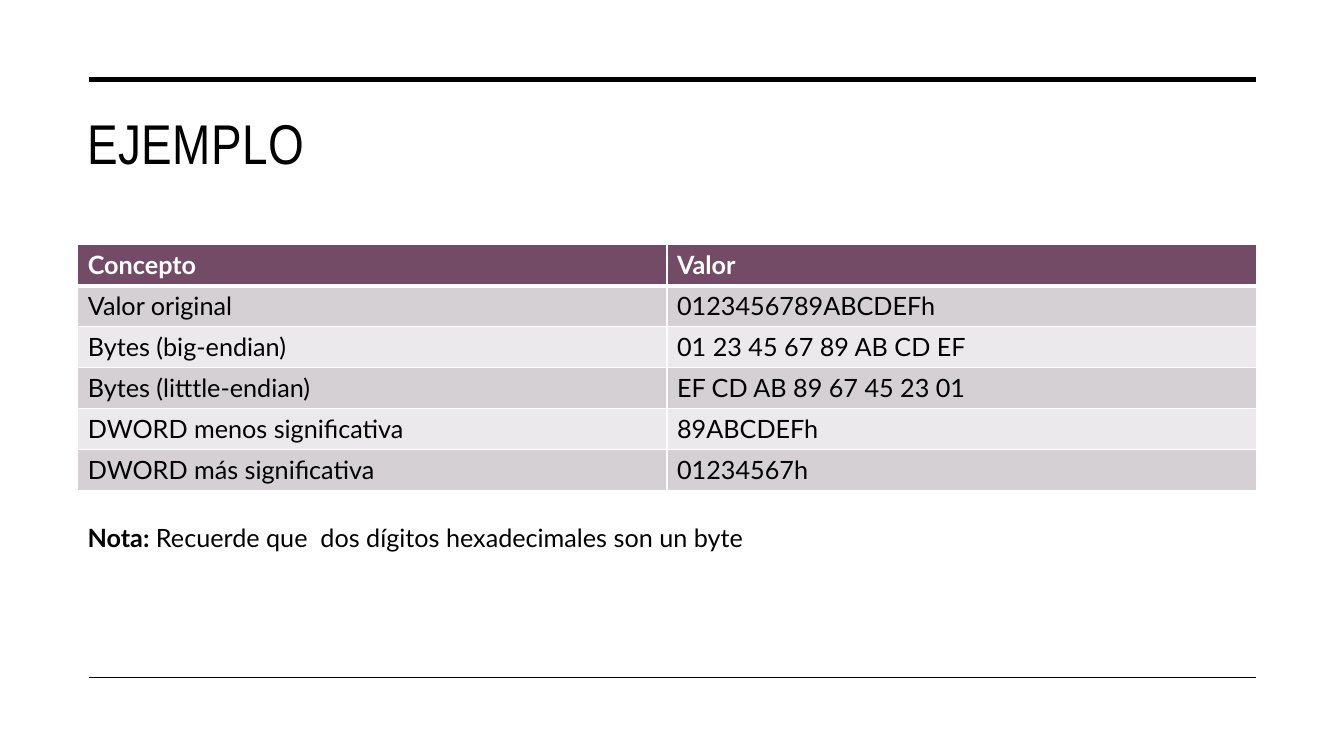
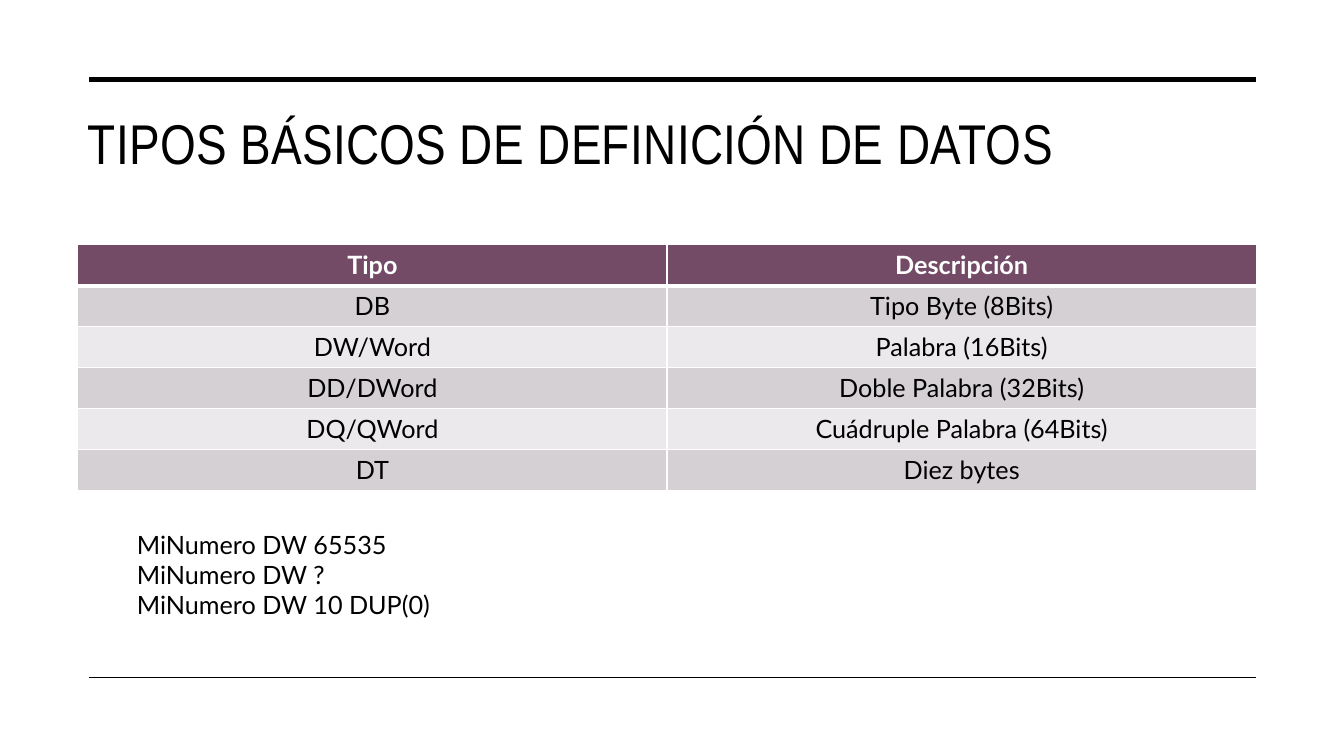
from dataclasses import dataclass

from lxml import etree
from pptx import Presentation
from pptx.dml.color import RGBColor
from pptx.enum import shapes, text
from pptx.oxml import ns
from pptx.util import Cm, Pt


@dataclass(frozen=True)
class Theme:
    ink: str = "000000"
    paper: str = "FFFFFF"
    header: str = "734B67"
    bands: tuple = ("D5D0D3", "EBE9EB")
    title_font: str = "Arial Narrow"
    body_font: str = "Lato"
    title_size: float = 40
    body_size: float = 18
    title_tracking: str = "30"  # hundredths of a point
    top_rule: float = 3.5
    bottom_rule: float = 1
    grid: float = 1
    header_edge: float = 3


THEME = Theme()

# Regions as left, top, width, height in centimetres
FRAME = (2.24, 2.01, 29.41, 15.06)
TITLE = (1.96, 2.62, 29.7, 3.55)
TABLE = (1.96, 6.17, 29.7, 6.18)
NOTE = (1.96, 13.03, 29.7, 1.02)
CODE = (3.2, 13.21, 17.78, 3.33)


def add_run(paragraph, words, color=THEME.ink, bold=False,
            name=THEME.body_font, size=THEME.body_size):
    run = paragraph.add_run()
    run.text = words
    for attribute, value in {"name": name, "size": Pt(size), "bold": bold}.items():
        setattr(run.font, attribute, value)
    run.font.color.rgb = RGBColor.from_string(color)
    return run


def add_rules(slide, box):
    """Heavy rule on the top edge of the box, thin rule on the bottom edge."""
    left, top, width, height = box
    for y, weight in ((top, THEME.top_rule), (top + height, THEME.bottom_rule)):
        rule = slide.shapes.add_connector(
            shapes.MSO_CONNECTOR.STRAIGHT, Cm(left), Cm(y), Cm(left + width), Cm(y))
        rule.line.width = Pt(weight)
        rule.line.color.rgb = RGBColor.from_string(THEME.ink)
        etree.SubElement(rule.line._get_or_add_ln().getparent(), ns.qn("a:effectLst"))


def add_text_frame(slide, box):
    frame = slide.shapes.add_textbox(*map(Cm, box)).text_frame
    frame.word_wrap = True
    frame.vertical_anchor = text.MSO_ANCHOR.TOP
    return frame


def add_title(slide, box, words):
    heading = add_run(add_text_frame(slide, box).paragraphs[0], words,
                      name=THEME.title_font, size=THEME.title_size)
    heading._r.get_or_add_rPr().set("spc", THEME.title_tracking)


def add_lines(slide, box, lines):
    """Each line is a list of (words, bold) pieces."""
    frame = add_text_frame(slide, box)
    for index, pieces in enumerate(lines):
        paragraph = frame.add_paragraph() if index else frame.paragraphs[0]
        for words, bold in pieces:
            add_run(paragraph, words, bold=bold)


def set_borders(cell, weights):
    properties = cell._tc.get_or_add_tcPr()
    for side, weight in weights.items():
        edge = etree.SubElement(properties, ns.qn(f"a:ln{side}"), w=str(Pt(weight)))
        fill = etree.SubElement(edge, ns.qn("a:solidFill"))
        etree.SubElement(fill, ns.qn("a:srgbClr"), val=THEME.paper)


def add_data_table(slide, box, rows, align):
    left, top, width, height = box
    columns = len(rows[0])
    table = slide.shapes.add_table(len(rows), columns, *map(Cm, box)).table
    for column in table.columns:
        column.width = Cm(width / columns)
    for r, values in enumerate(rows):
        table.rows[r].height = Cm(height / len(rows))
        is_header = r == 0
        fill = THEME.header if is_header else THEME.bands[(r - 1) % 2]
        weights = dict.fromkeys("LRTB", THEME.grid)
        # The header and first data row share the heavy edge
        if is_header:
            weights["B"] = THEME.header_edge
        elif r == 1:
            weights["T"] = THEME.header_edge
        for c, words in enumerate(values):
            cell = table.cell(r, c)
            set_borders(cell, weights)
            cell.fill.solid()
            cell.fill.fore_color.rgb = RGBColor.from_string(fill)
            paragraph = cell.text_frame.paragraphs[0]
            paragraph.alignment = align
            add_run(paragraph, words, bold=is_header,
                    color=THEME.paper if is_header else THEME.ink)


def add_table_slide(deck, title, rows, align, lines_box, lines):
    slide = deck.slides.add_slide(deck.slide_layouts[6])
    add_rules(slide, FRAME)
    add_title(slide, TITLE, title)
    add_data_table(slide, TABLE, rows, align)
    add_lines(slide, lines_box, lines)


def main():
    deck = Presentation()
    deck.slide_width, deck.slide_height = Cm(33.87), Cm(19.05)

    # Byte order example
    add_table_slide(
        deck, "EJEMPLO",
        [("Concepto", "Valor"),
         ("Valor original", "0123456789ABCDEFh"),
         ("Bytes (big-endian)", "01 23 45 67 89 AB CD EF"),
         ("Bytes (litttle-endian)", "EF CD AB 89 67 45 23 01"),
         ("DWORD menos significativa", "89ABCDEFh"),
         ("DWORD más significativa", "01234567h")],
        text.PP_ALIGN.LEFT, NOTE,
        [[("Nota:", True),
          (" Recuerde que  dos dígitos hexadecimales son un byte", False)]])

    # Data definition types
    add_table_slide(
        deck, "TIPOS BÁSICOS DE DEFINICIÓN DE DATOS",
        [("Tipo", "Descripción"),
         ("DB", "Tipo Byte (8Bits)"),
         ("DW/Word", "Palabra (16Bits)"),
         ("DD/DWord", "Doble Palabra (32Bits)"),
         ("DQ/QWord", "Cuádruple Palabra (64Bits)"),
         ("DT", "Diez bytes")],
        text.PP_ALIGN.CENTER, CODE,
        [[("MiNumero DW 65535", False)],
         [("MiNumero DW ?", False)],
         [("MiNumero DW 10 DUP(0)", False)]])

    deck.save("out.pptx")


if __name__ == "__main__":
    main()
